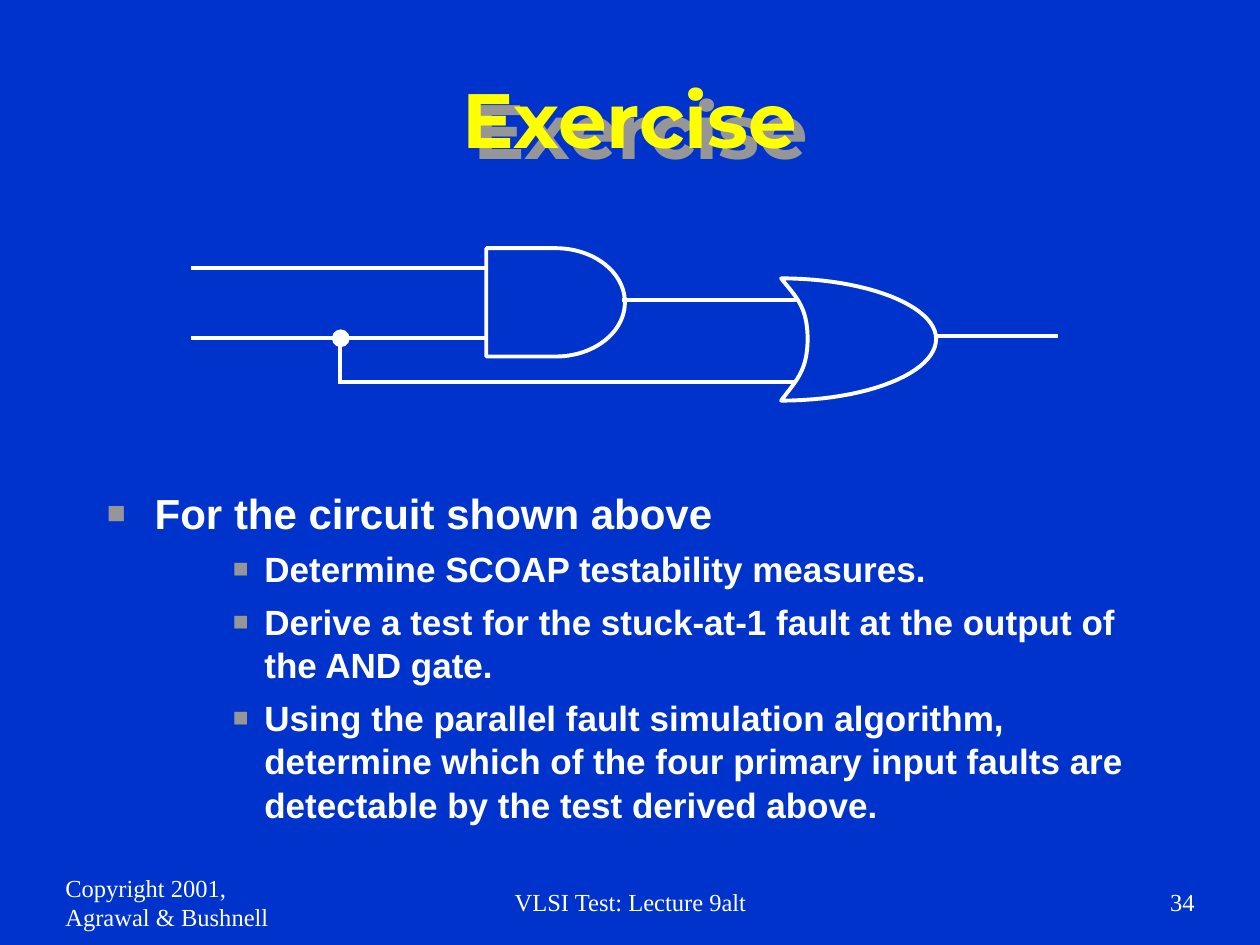
from lxml.etree import SubElement
from pptx import Presentation
from pptx.dml.color import RGBColor
from pptx.enum.shapes import MSO_CONNECTOR, MSO_SHAPE
from pptx.enum.text import MSO_ANCHOR, PP_ALIGN
from pptx.oxml.ns import qn
from pptx.util import Inches, Pt

COLORS = {"blue": "0033CC", "white": "FFFFFF", "yellow": "FFFF00", "gray": "969696"}
COLS, ROWS = 100, 75


def rgb(name):
    return RGBColor.from_string(COLORS[name])


def add(parent, tag, **attrs):
    return SubElement(parent, qn(tag), attrs)


def bezier(points, steps=24):
    (ax, ay), (bx, by), (cx, cy), (dx, dy) = points
    for i in range(1, steps + 1):
        t = i / steps
        u = 1 - t
        w = u**3, 3 * u * u * t, 3 * u * t * t, t**3
        yield (
            w[0] * ax + w[1] * bx + w[2] * cx + w[3] * dx,
            w[0] * ay + w[1] * by + w[2] * cy + w[3] * dy,
        )


class SlideBuilder:
    def __init__(self, prs):
        self.col = prs.slide_width / COLS
        self.row = prs.slide_height / ROWS
        self.s = prs.slides.add_slide(prs.slide_layouts[5])
        self.s.background.fill.solid()
        self.s.background.fill.fore_color.rgb = rgb("blue")

    def x(self, cols):
        return round(cols * self.col)

    def y(self, rows):
        return round(rows * self.row)

    def box(self, at):
        left, top, width, height = at
        return self.x(left), self.y(top), self.x(width), self.y(height)

    def font(self, p, name, size, color="white", bold=False):
        for r in p.runs:
            r.font.name, r.font.size, r.font.bold = name, Pt(size), bold
            r.font.color.rgb = rgb(color)

    def outline(self, shape, width=2.25):
        shape.line.color.rgb = rgb("white")
        shape.line.width = Pt(width)

    def title(self, text, at):
        sp = self.s.shapes.title
        sp.left, sp.top, sp.width, sp.height = self.box(at)
        tf = sp.text_frame
        tf.text = text
        tf.vertical_anchor = MSO_ANCHOR.MIDDLE
        tf.paragraphs[0].alignment = PP_ALIGN.CENTER
        self.font(tf.paragraphs[0], "Montserrat", 44, "yellow", True)
        effects = add(sp._element.spPr, "a:effectLst")
        shadow = add(effects, "a:outerShdw", dist="113000", dir="2700000", algn="ctr", rotWithShape="0")
        add(shadow, "a:srgbClr", val=COLORS["gray"])

    def text(self, text, at, align=PP_ALIGN.LEFT):
        tf = self.s.shapes.add_textbox(*self.box(at)).text_frame
        tf.word_wrap = True
        tf.vertical_anchor = MSO_ANCHOR.MIDDLE
        tf.text = text
        tf.paragraphs[0].alignment = align
        self.font(tf.paragraphs[0], "Times New Roman", 14)

    def bullets(self, heading, items, at):
        tf = self.s.shapes.add_textbox(*self.box(at)).text_frame
        tf.word_wrap = True
        tf.text = "\n".join([heading, *items])
        for i, p in enumerate(tf.paragraphs):
            margin, hang, size = (1.25, 0.25, 20) if i else (0.38, 0.38, 24)
            p.level = 2 if i else 0
            p.line_spacing = 1.04
            if i:
                p.space_before = Pt(5)
            pPr = p._p.get_or_add_pPr()
            pPr.set("marL", str(Inches(margin)))
            pPr.set("indent", str(-Inches(hang)))
            add(add(pPr, "a:buClr"), "a:srgbClr", val=COLORS["gray"])
            add(pPr, "a:buSzPct", val="75000")
            add(pPr, "a:buFont", typeface="Arial")
            add(pPr, "a:buChar", char="■")
            self.font(p, "Arial", size, bold=True)

    def shape(self, kind, at, filled=False, width=2.25):
        sp = self.s.shapes.add_shape(kind, *self.box(at))
        sp.shadow.inherit = False
        if filled:
            sp.fill.solid()
            sp.fill.fore_color.rgb = rgb("white")
        else:
            sp.fill.background()
        self.outline(sp, width)

    def curves(self, start, segments):
        points, pen = [], start
        for segment in segments:
            points += bezier([pen, *segment])
            pen = segment[-1]
        points = [(self.x(px), self.y(py)) for px, py in points]
        builder = self.s.shapes.build_freeform(self.x(start[0]), self.y(start[1]))
        builder.add_line_segments(points, close=True)
        sp = builder.convert_to_shape()
        sp.shadow.inherit = False
        sp.fill.background()
        self.outline(sp)

    def wire(self, x1, y1, x2, y2):
        line = self.s.shapes.add_connector(
            MSO_CONNECTOR.STRAIGHT, self.x(x1), self.y(y1), self.x(x2), self.y(y2)
        )
        self.outline(line)
        add(line._element.spPr, "a:effectLst")


def main():
    prs = Presentation()
    prs.slide_width, prs.slide_height = Inches(10), Inches(7.5)
    slide = SlideBuilder(prs)
    slide.title("Exercise", (7.5, 3.3, 85, 12.1))
    slide.bullets(
        "For the circuit shown above",
        [
            "Determine SCOAP testability measures.",
            "Derive a test for the stuck-at-1 fault at the output of the AND gate.",
            "Using the parallel fault simulation algorithm, determine which of the "
            "four primary input faults are detectable by the test derived above.",
        ],
        (7.5, 38, 85, 29.5),
    )

    slide.shape(MSO_SHAPE.FLOWCHART_DELAY, (38.6, 19.7, 11, 8.6))
    slide.curves(
        (62, 22.1),
        [
            [(63.1, 23.5), (64.1, 24.3), (64.1, 26.9)],
            [(64.1, 29.5), (63.1, 30.3), (62, 31.8)],
            [(68.8, 31.8), (74.3, 29.6), (74.3, 26.9)],
            [(74.3, 24.3), (68.8, 22.1), (62, 22.1)],
        ],
    )
    for wire in [
        (49.4, 23.8, 63.3, 23.8),
        (74.4, 26.7, 84, 26.7),
        (38.5, 21.3, 15.2, 21.3),
        (38.5, 26.8, 15.2, 26.8),
        (27, 26.8, 27, 30.2),
        (63.2, 30.3, 26.8, 30.3),
    ]:
        slide.wire(*wire)
    slide.shape(MSO_SHAPE.OVAL, (26.4, 26.2, 1.3, 1.3), filled=True, width=0.75)

    footer_top, footer_height = 69.1, 5
    for text, left, width, align in [
        ("VLSI Test: Lecture 9alt", 34.2, 31.7, PP_ALIGN.CENTER),
        ("34", 75, 20.8, PP_ALIGN.RIGHT),
        ("Copyright 2001, Agrawal & Bushnell", 4.2, 20.8, PP_ALIGN.LEFT),
    ]:
        slide.text(text, (left, footer_top, width, footer_height), align)
    prs.save("out.pptx")


if __name__ == "__main__":
    main()
